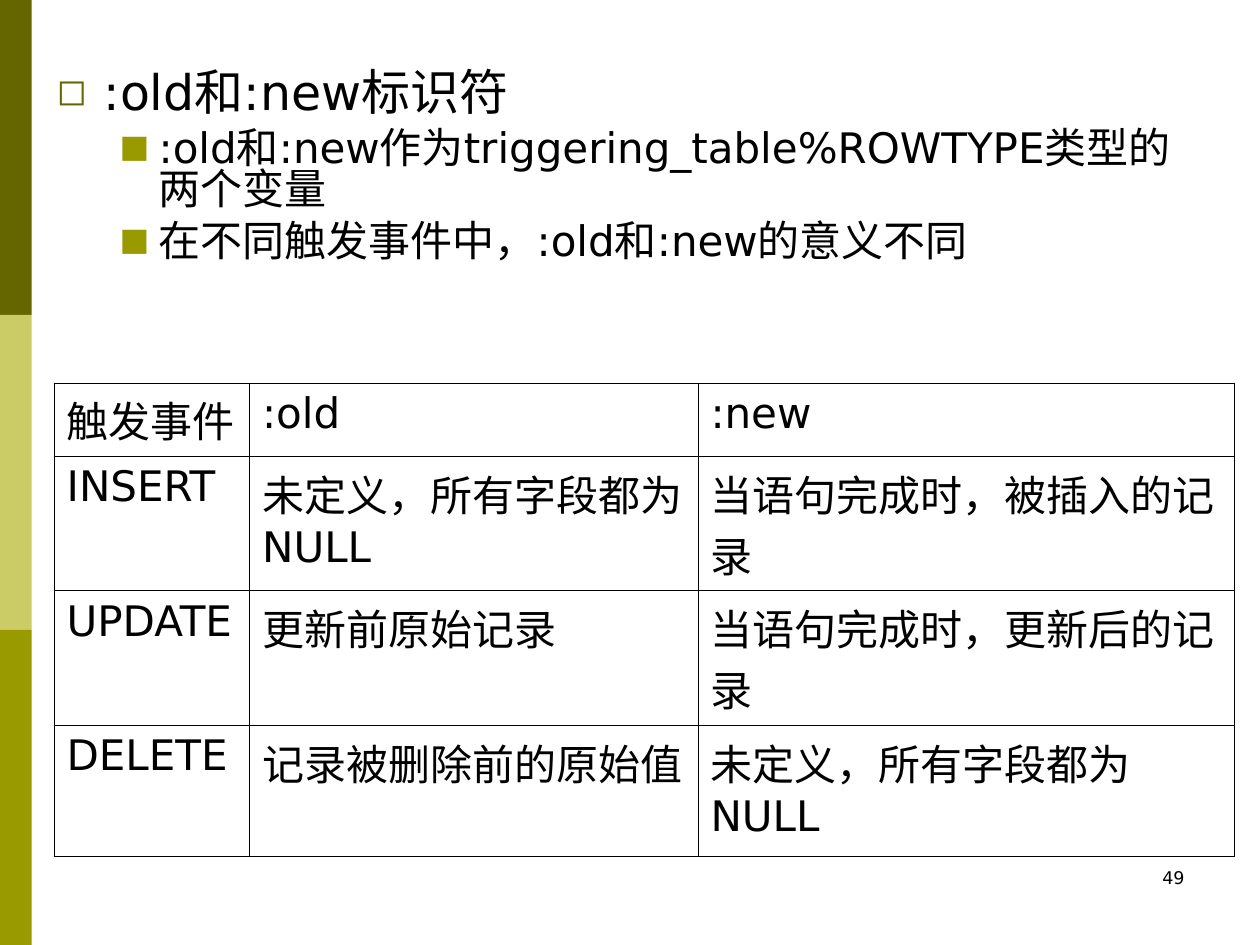
import pptx
import pptx.dml.color
import pptx.enum.shapes
import pptx.enum.text
import pptx.oxml
import pptx.oxml.ns
import pptx.util
from lxml import etree

Cm, Pt = pptx.util.Cm, pptx.util.Pt
qn = pptx.oxml.ns.qn
FONT = "DejaVu Sans"
OLIVE_DARK, OLIVE_LIGHT, OLIVE = "666600", "CCCC66", "999900"


def color(hex_text):
    return pptx.dml.color.RGBColor.from_string(hex_text)


def add_bullet(p, char, hex_text, left, hang):
    pPr = p._p.get_or_add_pPr()
    pPr.set("marL", str(Cm(left)))
    pPr.set("indent", str(-Cm(hang)))
    clr = etree.SubElement(pPr, qn("a:buClr"))
    etree.SubElement(clr, qn("a:srgbClr"), val=hex_text)
    etree.SubElement(pPr, qn("a:buSzPct"), val="75000")
    etree.SubElement(pPr, qn("a:buFont"), typeface=FONT)
    etree.SubElement(pPr, qn("a:buChar"), char=char)


def write(p, text, size=24, hex_text="000000", align=None, before=None, spacing=None):
    p.alignment = align
    if before is not None:
        p.space_before = Pt(before)
    if spacing is not None:
        p.line_spacing = spacing
    r = p.add_run()
    r.text = text
    r.font.size = Pt(size)
    r.font.name = FONT
    r.font.color.rgb = color(hex_text)


def border_cell(cell, hex_text, width):
    tcPr = cell._tc.get_or_add_tcPr()
    for i, side in enumerate(("a:lnL", "a:lnR", "a:lnT", "a:lnB")):
        ln = pptx.oxml.parse_xml(
            f'<{side} xmlns:a="{pptx.oxml.ns.nsdecls("a").split(chr(34))[1]}" w="{Pt(width)}">'
            f'<a:solidFill><a:srgbClr val="{hex_text}"/></a:solidFill></{side}>')
        tcPr.insert(i, ln)


class Deck:
    def __init__(self, width, height):
        self.prs = pptx.Presentation()
        self.prs.slide_width, self.prs.slide_height = Cm(width), Cm(height)
        self.s = self.prs.slides.add_slide(self.prs.slide_layouts[6])

    def rect(self, x, y, w, h, fill):
        sp = self.s.shapes.add_shape(
            pptx.enum.shapes.MSO_SHAPE.RECTANGLE, Cm(x), Cm(y), Cm(w), Cm(h))
        sp.shadow.inherit = False
        sp.fill.solid()
        sp.fill.fore_color.rgb = color(fill)
        sp.line.fill.background()

    def text_box(self, x, y, w, h):
        tf = self.s.shapes.add_textbox(Cm(x), Cm(y), Cm(w), Cm(h)).text_frame
        tf.word_wrap = True
        return tf

    def bullets(self, x, y, w, h, items):
        tf = self.text_box(x, y, w, h)
        for i, (level, text) in enumerate(items):
            p = tf.add_paragraph() if i else tf.paragraphs[0]
            p.level = level
            if level:
                add_bullet(p, "■", OLIVE, 2.06, 0.79)
            else:
                add_bullet(p, "◻", OLIVE_DARK, 0.95, 0.95)
            write(p, text, size=24 if level else 28, before=6 if i else 0, spacing=0.82)

    def table(self, x, y, widths, heights, rows):
        table = self.s.shapes.add_table(
            len(heights), len(widths), Cm(x), Cm(y), Cm(sum(widths)), Cm(sum(heights))).table
        table.first_row = table.horz_banding = False
        for column, width in zip(table.columns, widths):
            column.width = Cm(width)
        for row, height, texts in zip(table.rows, heights, rows):
            row.height = Cm(height)
            for cell, text in zip(row.cells, texts):
                cell.fill.background()
                border_cell(cell, "000000", 0.45)
                write(cell.text_frame.paragraphs[0], text)


def main():
    deck = Deck(25.4, 19.05)
    band = 19.05 / 3
    for i, fill in enumerate((OLIVE_DARK, OLIVE_LIGHT, OLIVE)):
        deck.rect(0, i * band, 0.64, band, fill)

    number = deck.text_box(18.21, 17.35, 5.92, 1.27)
    write(number.paragraphs[0], "49", size=10, align=pptx.enum.text.PP_ALIGN.RIGHT)

    deck.bullets(0.89, 1.32, 23.44, 5.41, [
        (0, ":old和:new标识符"),
        (1, ":old和:new作为triggering_table%ROWTYPE类型的两个变量"),
        (1, "在不同触发事件中，:old和:new的意义不同"),
    ])

    deck.table(1.09, 7.72, [3.94, 9.04, 10.82], [1.48, 2.71, 2.71, 2.64], [
        ("触发事件", ":old", ":new"),
        ("INSERT", "未定义，所有字段都为NULL", "当语句完成时，被插入的记录"),
        ("UPDATE", "更新前原始记录", "当语句完成时，更新后的记录"),
        ("DELETE", "记录被删除前的原始值", "未定义，所有字段都为NULL"),
    ])
    deck.prs.save("out.pptx")


if __name__ == "__main__":
    main()
